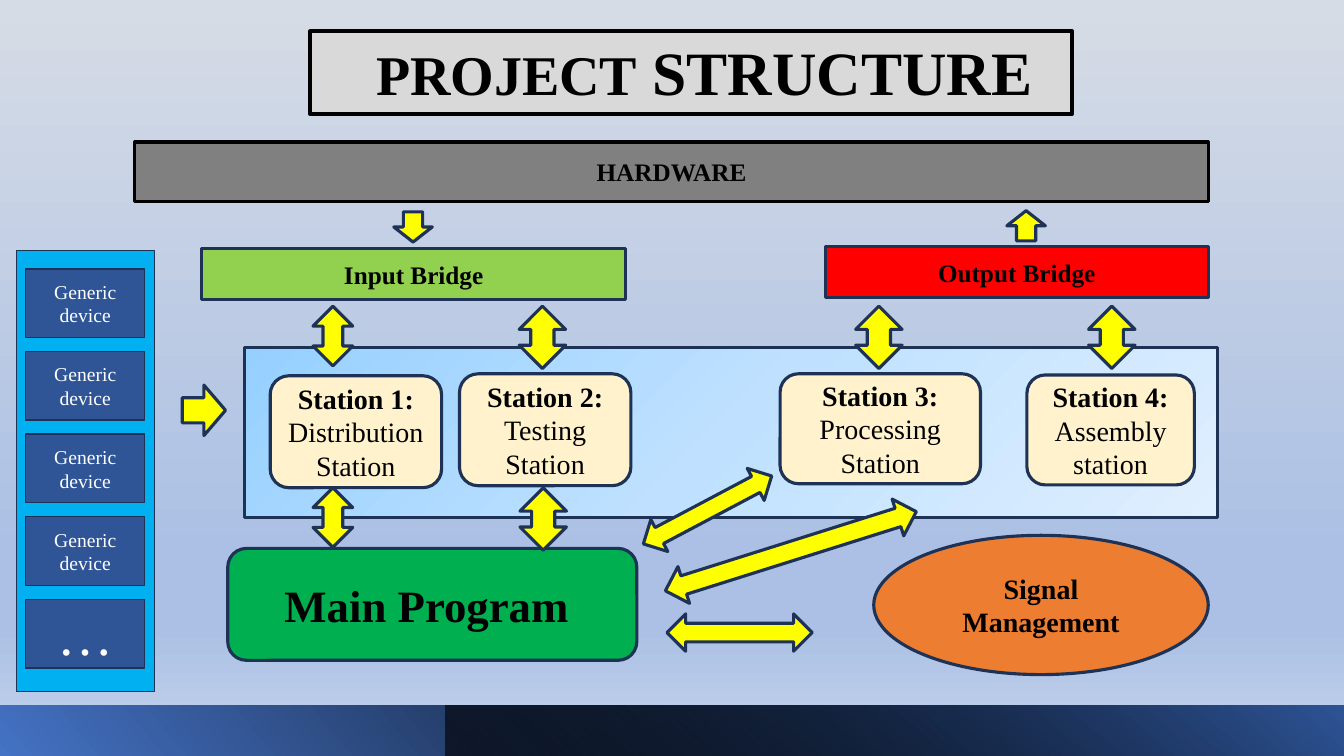
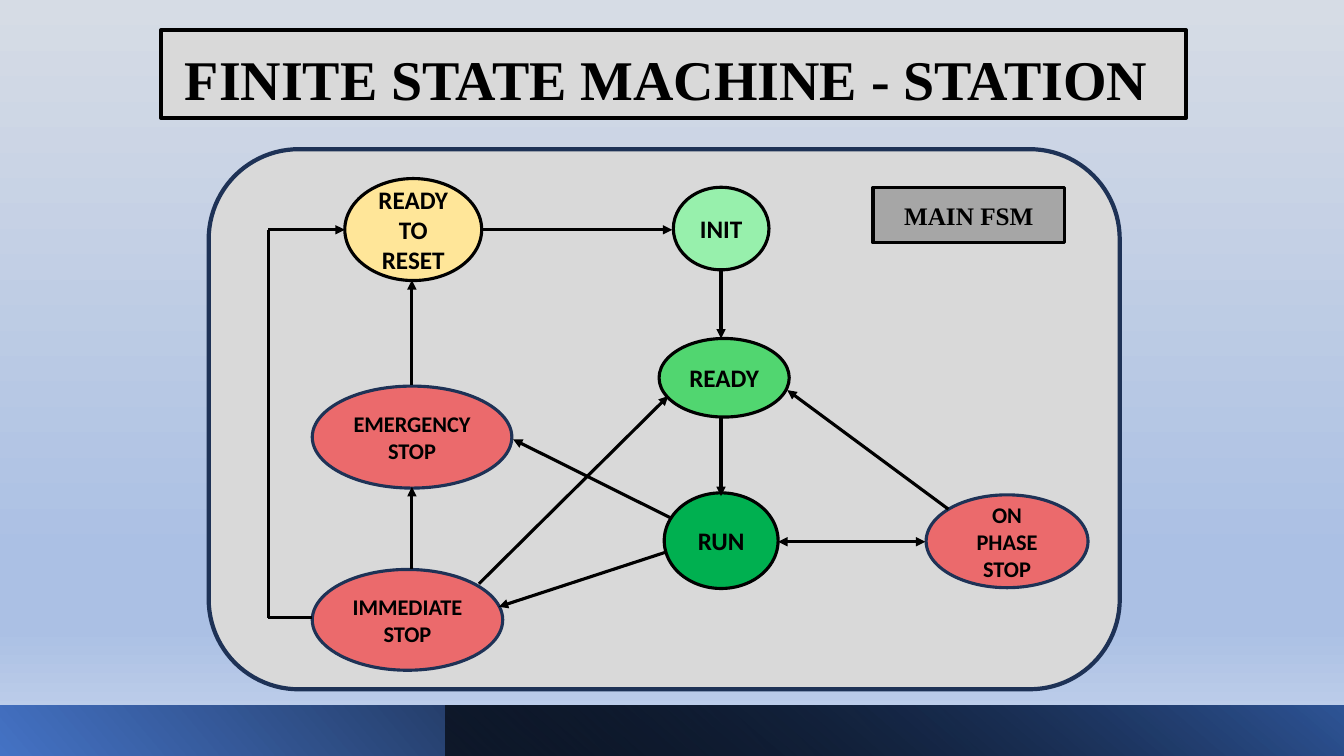
from itertools import pairwise

from lxml import etree
from pptx import Presentation
from pptx import util as u
from pptx.dml import color
from pptx.enum import shapes, text
from pptx.oxml import ns

Cm, Pt = u.Cm, u.Pt
KIND = shapes.MSO_SHAPE
ROMAN, SANS = "Times New Roman", "Calibri"

HUES = {
    "black": "000000", "white": "FFFFFF", "navy": "1E3256",
    "light": "D9D9D9", "mid": "A6A6A6", "gray": "808080",
    "lime": "92D050", "red": "FF0000", "green": "00B050",
    "orange": "ED7D31", "cyan": "00B0F0", "blue": "2F5597",
    "yellow": "FFFF00", "cream": "FFF2CC", "sand": "FFE699",
    "mint": "97F0AC", "leaf": "51D670", "coral": "EB6A6C",
}

# Gradients: angle, then stops of (place, colour, opacity)
FADES = {
    "sky": (90, [(0, "D6DCE5", 100), (74, "ABC0E4", 100),
                 (83, "ABC0E4", 100), (100, "C7D5ED", 100)]),
    "base": (40, [(0, "4472C4", 100), (78, "000000", 100)]),
    "shade": (230, [(0, "000000", 63), (100, "2F5597", 100)]),
    "ice": (45, [(0, "96D0FF", 100), (50, "BFE1FF", 100),
                 (100, "E0EFFF", 100)]),
}


def rgb(name):
    return color.RGBColor.from_string(HUES[name])


def put(target, values):
    for key, value in values.items():
        setattr(target, key, value)


# Fills and outlines
def fade(fill, root, name):
    angle, stops = FADES[name]
    fill.gradient()
    grad = root.find(".//" + ns.qn("a:gradFill"))
    for child in list(grad):
        grad.remove(child)
    steps = etree.SubElement(grad, ns.qn("a:gsLst"))
    for place, hue, alpha in stops:
        step = etree.SubElement(steps, ns.qn("a:gs"), pos=str(place * 1000))
        tint = etree.SubElement(step, ns.qn("a:srgbClr"), val=hue)
        if alpha < 100:
            etree.SubElement(tint, ns.qn("a:alpha"), val=str(alpha * 1000))
    etree.SubElement(grad, ns.qn("a:lin"), ang=str(angle * 60000), scaled="0")


def box(slide, kind, place, fill, edge="navy", width=2.25):
    shape = slide.shapes.add_shape(kind, *map(Cm, place))
    shape.shadow.inherit = False
    if fill in FADES:
        fade(shape.fill, shape._element.spPr, fill)
    else:
        shape.fill.solid()
        shape.fill.fore_color.rgb = rgb(fill)
    if edge:
        shape.line.color.rgb = rgb(edge)
        shape.line.width = Pt(width)
    else:
        shape.line.fill.background()
    return shape


# Text: each line is a list of (words, size, bold)
def write(shape, lines, face=ROMAN, hue="black", frame=None, **para):
    body = shape.text_frame
    put(body, {"word_wrap": True,
               "vertical_anchor": text.MSO_ANCHOR.MIDDLE, **(frame or {})})
    for index, line in enumerate(lines):
        item = body.add_paragraph() if index else body.paragraphs[0]
        put(item, {"alignment": text.PP_ALIGN.CENTER, **para})
        for words, size, bold in line:
            run = item.add_run()
            run.text = words
            put(run.font, {"name": face, "size": Pt(size), "bold": bold})
            run.font.color.rgb = rgb(hue)


def title(slide, place, runs, inset):
    shape = box(slide, KIND.RECTANGLE, place, "light", "black", 3)
    write(shape, [[(words, size, True) for words, size in runs]],
          frame={"vertical_anchor": text.MSO_ANCHOR.BOTTOM,
                 "margin_left": Cm(0.25 + inset)},
          alignment=text.PP_ALIGN.LEFT, line_spacing=0.9)


def label(slide, kind, place, fill, words, size=18, edge="navy", face=ROMAN):
    shape = box(slide, kind, place, fill, edge)
    write(shape, [[(words, size, True)]], face)


# Arrows
def block(slide, kind, mid, size, turn=0):
    (x, y), (w, h) = mid, size
    shape = box(slide, kind, (x - w / 2, y - h / 2, w, h), "yellow")
    shape.rotation = turn


def link(slide, start, end, heads=("tail",)):
    wire = slide.shapes.add_connector(
        shapes.MSO_CONNECTOR.STRAIGHT, *map(Cm, (*start, *end)))
    wire.line.color.rgb = rgb("black")
    wire.line.width = Pt(2.25)
    props = wire._element.spPr
    line = props.find(ns.qn("a:ln"))
    for head in heads:
        etree.SubElement(line, ns.qn(f"a:{head}End"), type="triangle")
    etree.SubElement(props, ns.qn("a:effectLst"))


# Shared background and footer band
def start(deck):
    slide = deck.slides.add_slide(deck.slide_layouts[6])
    fade(slide.background.fill, slide._element, "sky")
    return slide


def footer(slide):
    for left, fill, turn in ((0, "base", 180), (11.22, "shade", 0)):
        band = box(slide, KIND.RECTANGLE,
                   (left, 17.78, 33.87 - left, 1.27), fill, None)
        band.rotation = turn
        band._element.spPr.find(ns.qn("a:xfrm")).set("flipH", "1")


def layout(deck):
    slide = start(deck)
    title(slide, (7.82, 0.79, 19.2, 2.08),
          [("PROJECT", 40), (" STRUCTURE", 44)], 1.41)
    footer(slide)

    # Hardware, bridges, program and signals
    label(slide, KIND.RECTANGLE, (3.4, 3.58, 27.05, 1.5), "gray",
          "HARDWARE", edge="black")
    for kind, place, fill, words, size in (
        (KIND.RECTANGLE, (5.08, 6.27, 10.69, 1.27), "lime",
         "Input Bridge", 18),
        (KIND.RECTANGLE, (20.8, 6.22, 9.65, 1.27), "red",
         "Output Bridge", 18),
        (KIND.ROUNDED_RECTANGLE, (5.74, 13.82, 10.31, 2.82), "green",
         "Main Program ", 32),
        (KIND.OVAL, (22.02, 13.49, 8.43, 3.51), "orange",
         "Signal Management", 20),
    ):
        label(slide, kind, place, fill, words, size)

    # Stations
    box(slide, KIND.RECTANGLE, (6.17, 8.76, 24.51, 4.29), "ice")
    for number, (place, task) in enumerate((
        ((6.81, 9.47, 4.32, 2.82), "Distribution Station"),
        ((11.58, 9.42, 4.32, 2.82), "Testing Station"),
        ((19.66, 9.42, 5.05, 2.77), "Processing Station"),
        ((25.88, 9.45, 4.22, 2.77), "Assembly station"),
    ), 1):
        shape = box(slide, KIND.ROUNDED_RECTANGLE, place, "cream")
        write(shape, [[(f"Station {number}:", 20, True)],
                      [(task, 20, False)]])

    # Devices
    box(slide, KIND.RECTANGLE, (0.41, 6.32, 3.48, 11.1), "cyan", width=1)
    for row, (words, size) in enumerate([("Generic device", 14)] * 4
                                        + [("…", 40)]):
        shape = box(slide, KIND.RECTANGLE,
                    (0.65, 6.78 + 2.08 * row, 3, 1.73), "blue", width=1)
        write(shape, [[(words, size, False)]], hue="white")

    # Block arrows
    small, large = (1, 1.5), (1.17, 1.57)
    for mid, size in (((8.39, 8.47), small), ((13.67, 8.5), large),
                      ((22.15, 8.5), large), ((28.02, 8.5), large),
                      ((8.39, 13.04), small), ((13.69, 13.08), large)):
        block(slide, KIND.UP_DOWN_ARROW, mid, size)
    for mid, size, turn in (((18.64, 15.94), (3.66, 0.94), 0),
                            ((17.83, 12.85), (3.66, 0.91), 152.1),
                            ((19.93, 13.89), (6.63, 0.97), 162.5)):
        block(slide, KIND.LEFT_RIGHT_ARROW, mid, size, turn)
    block(slide, KIND.RIGHT_ARROW, (5.14, 10.34), (1.09, 1.27))
    block(slide, KIND.DOWN_ARROW, (10.41, 5.72), (0.97, 0.76))
    block(slide, KIND.UP_ARROW, (25.86, 5.69), (0.97, 0.76))


def machine(deck):
    slide = start(deck)
    box(slide, KIND.ROUNDED_RECTANGLE, (5.26, 3.76, 22.96, 13.61),
        "light", width=3)
    footer(slide)
    title(slide, (4.06, 0.76, 25.83, 2.21),
          [("FINITE STATE MACHINE - STATION", 40)], 0.35)
    label(slide, KIND.RECTANGLE, (22, 4.72, 4.83, 1.4), "mid",
          "MAIN FSM", edge="black")

    # States
    for place, fill, words in (
        ((16.97, 4.72, 2.41, 2.08), "mint", "INIT"),
        ((16.61, 8.53, 3.28, 1.98), "leaf", "READY"),
        ((8.69, 4.5, 3.45, 2.57), "sand", "READY TO RESET"),
        ((16.74, 12.42, 2.87, 2.41), "green", "RUN"),
        ((7.87, 14.35, 4.8, 2.54), "coral", "IMMEDIATE STOP"),
        ((23.34, 12.47, 4.08, 2.34), "coral", "ON PHASE STOP"),
        ((7.87, 9.73, 5.03, 2.57), "coral", "EMERGENCY STOP"),
    ):
        size, edge = (16, "navy") if fill == "coral" else (18, "black")
        label(slide, KIND.OVAL, place, fill, words, size, edge, SANS)

    # Transitions
    for first, last in (
        ((18.17, 6.83), (18.17, 8.53)),
        ((18.17, 10.52), (18.17, 12.5)),
        ((16.92, 13.06), (12.93, 11.07)),
        ((16.76, 13.92), (12.57, 15.29)),
        ((10.38, 14.33), (10.38, 12.27)),
        ((10.38, 9.7), (10.38, 7.06)),
        ((12.07, 14.71), (16.84, 9.98)),
        ((23.9, 12.83), (19.84, 9.83)),
        ((12.14, 5.79), (16.94, 5.79)),
    ):
        link(slide, first, last)
    link(slide, (19.61, 13.65), (23.32, 13.65), ("head", "tail"))

    # Way back from immediate stop to reset
    route = [(7.87, 15.57), (6.76, 15.57), (6.76, 5.79), (8.69, 5.79)]
    for first, last in pairwise(route):
        link(slide, first, last, ("tail",) if last == route[-1] else ())


def main():
    deck = Presentation()
    put(deck, {"slide_width": Cm(33.87), "slide_height": Cm(19.05)})
    layout(deck)
    machine(deck)
    deck.save("out.pptx")


if __name__ == "__main__":
    main()
